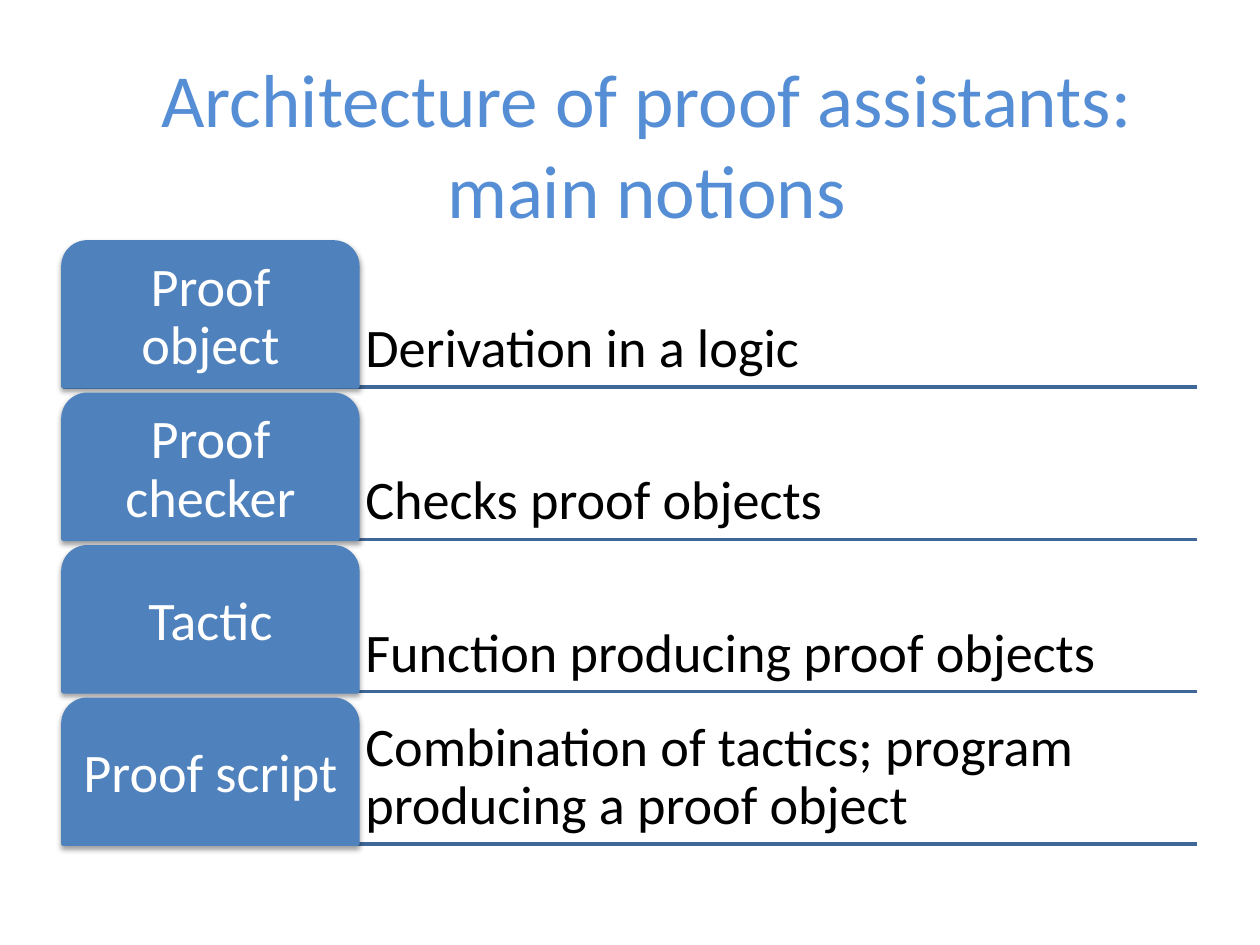
import dataclasses

import lxml.etree
import pptx
import pptx.dml.color
import pptx.enum.shapes
import pptx.enum.text
import pptx.oxml
import pptx.oxml.ns
import pptx.util

Inches = pptx.util.Inches
Align = pptx.enum.text.PP_ALIGN
Anchor = pptx.enum.text.MSO_ANCHOR

COLORS = {"title": "558ED5", "box": "4F81BD", "rule": "3F6797",
          "label": "FFFFFF", "body": "000000"}
FONT = "Calibri"
LEFT, SPLIT, RIGHT = 0.5, 2.84, 9.5
TOP, HEIGHT, PITCH = 1.92, 1.15, 1.21
PAD = 0.06
SHADOW = (
    f'<a:effectLst {pptx.oxml.ns.nsdecls("a")}>'
    '<a:outerShdw blurRad="39370" dist="20320" dir="5400000" rotWithShape="0">'
    '<a:srgbClr val="000000"><a:alpha val="38000"/></a:srgbClr>'
    '</a:outerShdw></a:effectLst>')


@dataclasses.dataclass
class Notion:
    name: str
    text: str


NOTIONS = [
    Notion("Proof object", "Derivation in a logic"),
    Notion("Proof checker", "Checks proof objects"),
    Notion("Tactic", "Function producing proof objects"),
    Notion("Proof script",
           "Combination of tactics; program producing a proof object"),
]


def paint(key: str) -> pptx.dml.color.RGBColor:
    return pptx.dml.color.RGBColor.from_string(COLORS[key])


def write(shape, text: str, size: float, color: str, align, anchor) -> None:
    frame = shape.text_frame
    frame.text = text
    frame.word_wrap = True
    frame.vertical_anchor = anchor
    for para in frame.paragraphs:
        para.alignment = align
        for run in para.runs:
            run.font.name = FONT
            run.font.size = pptx.util.Pt(size)
            run.font.color.rgb = paint(color)


def tighten(shape) -> None:
    frame = shape.text_frame
    frame.margin_left = frame.margin_right = Inches(PAD)
    frame.margin_top = frame.margin_bottom = Inches(PAD)
    for para in frame.paragraphs:
        para.line_spacing = 0.9


def draw_rule(slide, y: float) -> None:
    rule = slide.shapes.add_connector(
        pptx.enum.shapes.MSO_CONNECTOR.STRAIGHT,
        Inches(LEFT), Inches(y), Inches(RIGHT), Inches(y))
    rule.line.color.rgb = paint("rule")
    rule.line.width = pptx.util.Pt(2)
    lxml.etree.SubElement(rule._element.spPr,
                          pptx.oxml.ns.qn("a:effectLst"))


def draw_label(slide, name: str, y: float) -> None:
    box = slide.shapes.add_shape(
        pptx.enum.shapes.MSO_SHAPE.ROUND_2_SAME_RECTANGLE,
        Inches(LEFT), Inches(y), Inches(SPLIT - LEFT), Inches(HEIGHT))
    box.adjustments[0] = 0.167
    box.adjustments[1] = 0
    box.fill.solid()
    box.fill.fore_color.rgb = paint("box")
    box.line.color.rgb = paint("box")
    box.line.width = pptx.util.Pt(2)
    box._element.spPr.append(pptx.oxml.parse_xml(SHADOW))
    write(box, name, 31, "label", Align.CENTER, Anchor.MIDDLE)
    tighten(box)


def draw_body(slide, text: str, y: float) -> None:
    body = slide.shapes.add_textbox(
        Inches(SPLIT), Inches(y), Inches(RIGHT - SPLIT), Inches(HEIGHT))
    write(body, text, 31, "body", Align.LEFT, Anchor.BOTTOM)
    tighten(body)


def main() -> None:
    deck = pptx.Presentation()
    deck.slide_width, deck.slide_height = Inches(10), Inches(7.5)
    slide = deck.slides.add_slide(deck.slide_layouts[6])

    # Title
    title = slide.shapes.add_textbox(
        Inches(0.63), Inches(0.35), Inches(9), Inches(1.57))
    write(title, "Architecture of proof assistants:\nmain notions",
          42.9, "title", Align.CENTER, Anchor.MIDDLE)

    # One row per notion: rule, explanation, label
    for row, notion in enumerate(NOTIONS):
        y = TOP + row * PITCH
        draw_rule(slide, y + HEIGHT)
        draw_body(slide, notion.text, y)
        draw_label(slide, notion.name, y)

    deck.save("out.pptx")


if __name__ == "__main__":
    main()
